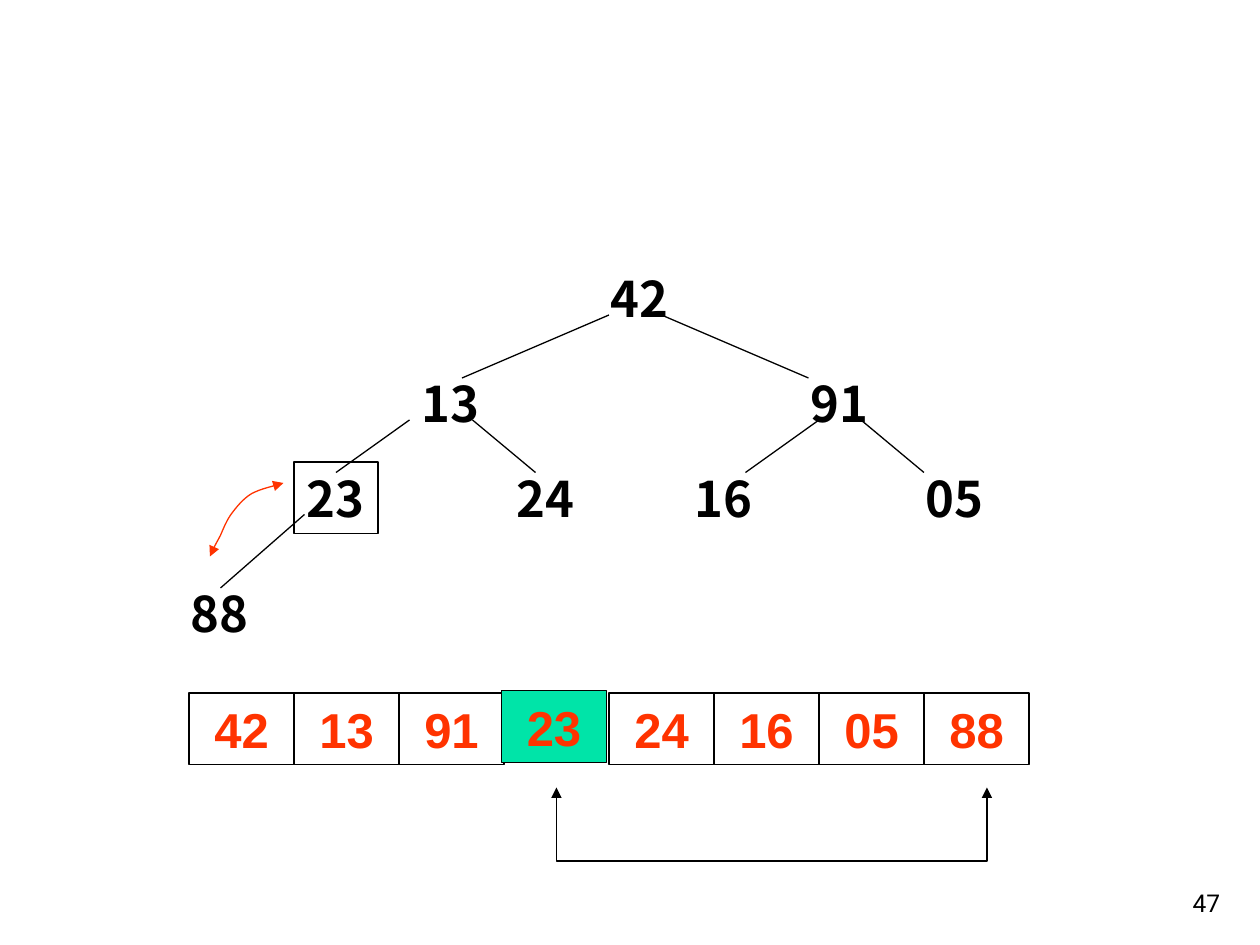
import pptx
import pptx.util
import pptx.dml.color
import pptx.enum.shapes
import pptx.enum.text
import pptx.oxml
import pptx.oxml.ns

COLS, ROWS = 120, 90
WIDE, HIGH = pptx.util.Inches(10), pptx.util.Inches(7.5)
INK, RED, GREEN = "000000", "FF3300", "00E4A8"
TALL = 6.84
ALIGN = pptx.enum.text.PP_ALIGN
ANCHOR = pptx.enum.text.MSO_ANCHOR
RECT = pptx.enum.shapes.MSO_SHAPE.RECTANGLE
STRAIGHT = pptx.enum.shapes.MSO_CONNECTOR.STRAIGHT
qn = pptx.oxml.ns.qn


def color(code):
    return pptx.dml.color.RGBColor.from_string(code)


def place(col, row):
    return round(col * WIDE / COLS), round(row * HIGH / ROWS)


def stroke(shape, code=INK):
    shape.line.color.rgb = color(code)
    shape.line.width = pptx.util.Pt(0.75)


def write(slide, text, box, size=28, font="Arial", ink=INK, bold=True,
          align=ALIGN.LEFT, anchor=ANCHOR.MIDDLE, frame=False, fill=None):
    left, top, width, height = box
    area = place(left, top) + place(width, height)
    if frame:
        shape = slide.shapes.add_shape(RECT, *area)
        shape.shadow.inherit = False
        stroke(shape)
        if fill:
            shape.fill.solid()
            shape.fill.fore_color.rgb = color(fill)
        else:
            shape.fill.background()
    else:
        shape = slide.shapes.add_textbox(*area)
    body = shape.text_frame
    body.word_wrap = True
    body.vertical_anchor = anchor
    para = body.paragraphs[0]
    para.alignment = align
    run = para.add_run()
    run.text = text
    run.font.name = font
    run.font.size = pptx.util.Pt(size)
    run.font.bold = bold
    run.font.color.rgb = color(ink)


def edge(slide, start, end):
    line = slide.shapes.add_connector(STRAIGHT, *place(*start), *place(*end))
    stroke(line)
    pptx.oxml.ns.qn
    line._element.spPr.append(pptx.oxml.parse_xml(
        '<a:effectLst %s/>' % pptx.oxml.ns.nsdecls("a")))


def trace(slide, box, points, ink=INK, curved=False):
    left, top = box
    spots = [place(left + col, top + row) for col, row in points]
    pen = slide.shapes.build_freeform(*spots[0])
    pen.add_line_segments(spots[1:], close=False)
    shape = pen.convert_to_shape()
    shape.shadow.inherit = False
    shape.fill.background()
    stroke(shape, ink)
    for end in ("headEnd", "tailEnd"):
        shape.line._get_or_add_ln().append(pptx.oxml.parse_xml(
            '<a:%s %s type="triangle"/>' % (end, pptx.oxml.ns.nsdecls("a"))))
    if curved:
        steps = list(shape._element.iter(qn("a:lnTo")))
        for first in range(0, len(steps), 3):
            bend = pptx.oxml.parse_xml(
                '<a:cubicBezTo %s/>' % pptx.oxml.ns.nsdecls("a"))
            steps[first].addprevious(bend)
            for step in steps[first:first + 3]:
                bend.append(step[0])
                step.getparent().remove(step)


def tree(slide, box, nodes, chosen):
    left, top = box
    for index, (text, col, row, leave, land) in enumerate(nodes):
        write(slide, text, (left + col, top + row, 8, TALL),
              font="Noto Sans CJK SC", frame=index == chosen)
    for index, (text, col, row, leave, land) in enumerate(nodes):
        if index:
            above = nodes[(index - 1) // 2]
            edge(slide, (left + above[1] + leave, top + above[2] + 5),
                 (left + col + land, top + row + 1))


def array(slide, box, texts, chosen):
    left, top, width = box
    step = width / len(texts)
    for index, text in enumerate(texts):
        lit = index == chosen
        shift = 0.24 if lit else 0
        write(slide, text,
              (left + index * step - shift, top - shift, step, TALL),
              ink=RED, align=ALIGN.CENTER, anchor=ANCHOR.BOTTOM,
              frame=True, fill=GREEN if lit else None)


def main():
    deck = pptx.Presentation()
    deck.slide_width, deck.slide_height = WIDE, HIGH
    slide = deck.slides.add_slide(deck.slide_layouts[6])
    nodes = [
        ("42", 40, 0, 0, 0),
        ("13", 22, 10, 1, 5),
        ("91", 59, 10, 6, 1),
        ("23", 11, 19, 0, 4),
        ("24", 31, 19, 6, 3),
        ("16", 48, 19, 2, 6),
        ("05", 70, 19, 6, 1),
        ("88", 0, 30, 1, 4),
    ]
    tree(slide, (17, 25), nodes, 3)
    array(slide, (18, 66, 80), [node[0] for node in nodes], 3)
    trace(slide, (53, 75), [(0, 0), (0, 7), (41, 7), (41, 0)])
    trace(slide, (20, 46), [
        (0, 7), (0.25, 6.33), (0.6, 5.75), (1, 5),
        (1.33, 4.25), (1.5, 3.75), (2, 3),
        (2.5, 2.33), (3.15, 1.5), (4, 1),
        (4.8, 0.6), (6.2, 0.25), (7, 0)], ink=RED, curved=True)
    write(slide, "47", (92.4, 82, 25, 6), size=14, font="Roboto",
          bold=False, align=ALIGN.RIGHT, anchor=ANCHOR.BOTTOM)
    deck.save("out.pptx")


if __name__ == "__main__":
    main()
